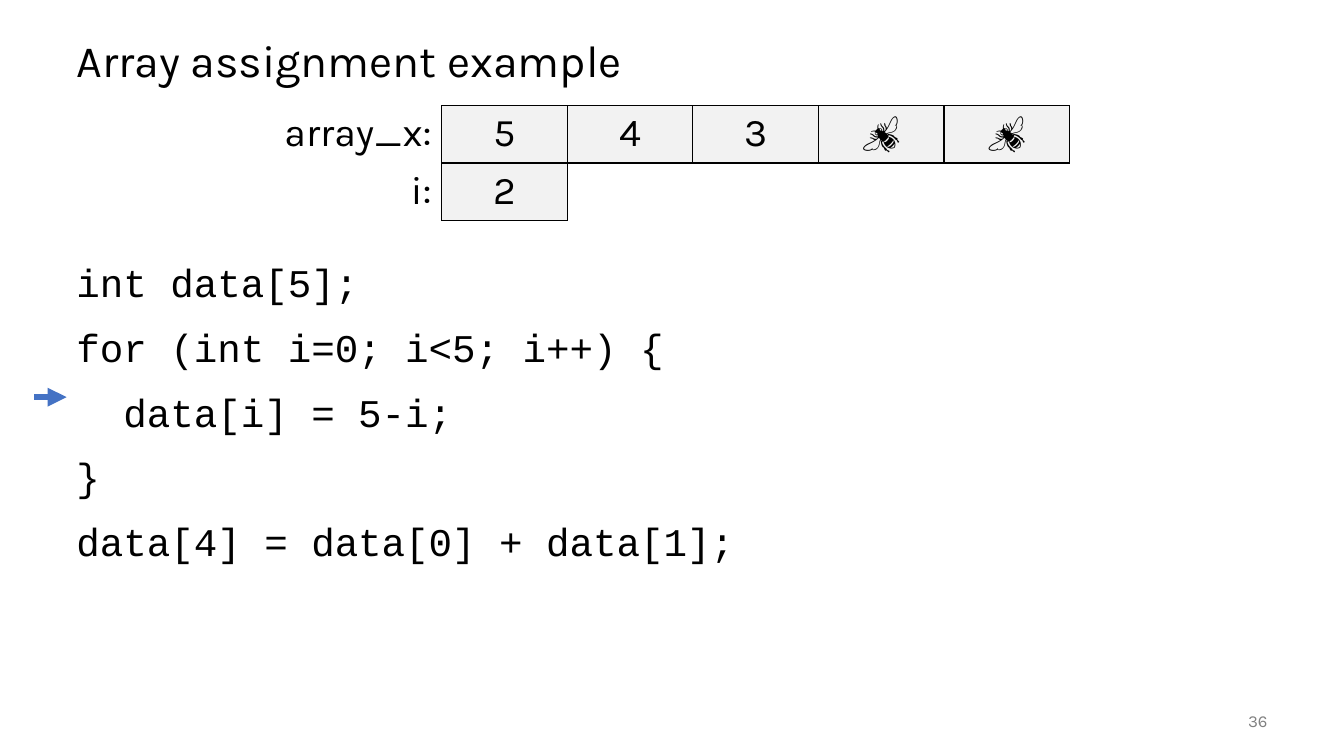
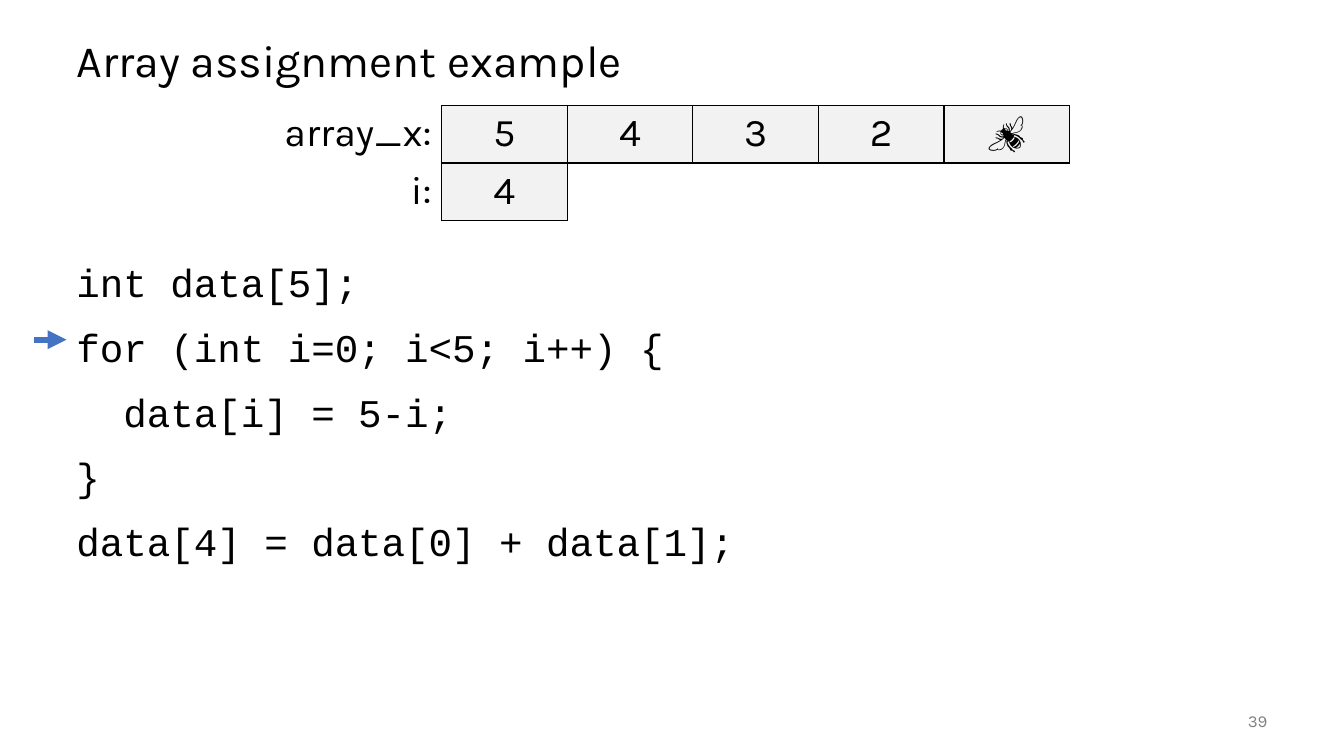
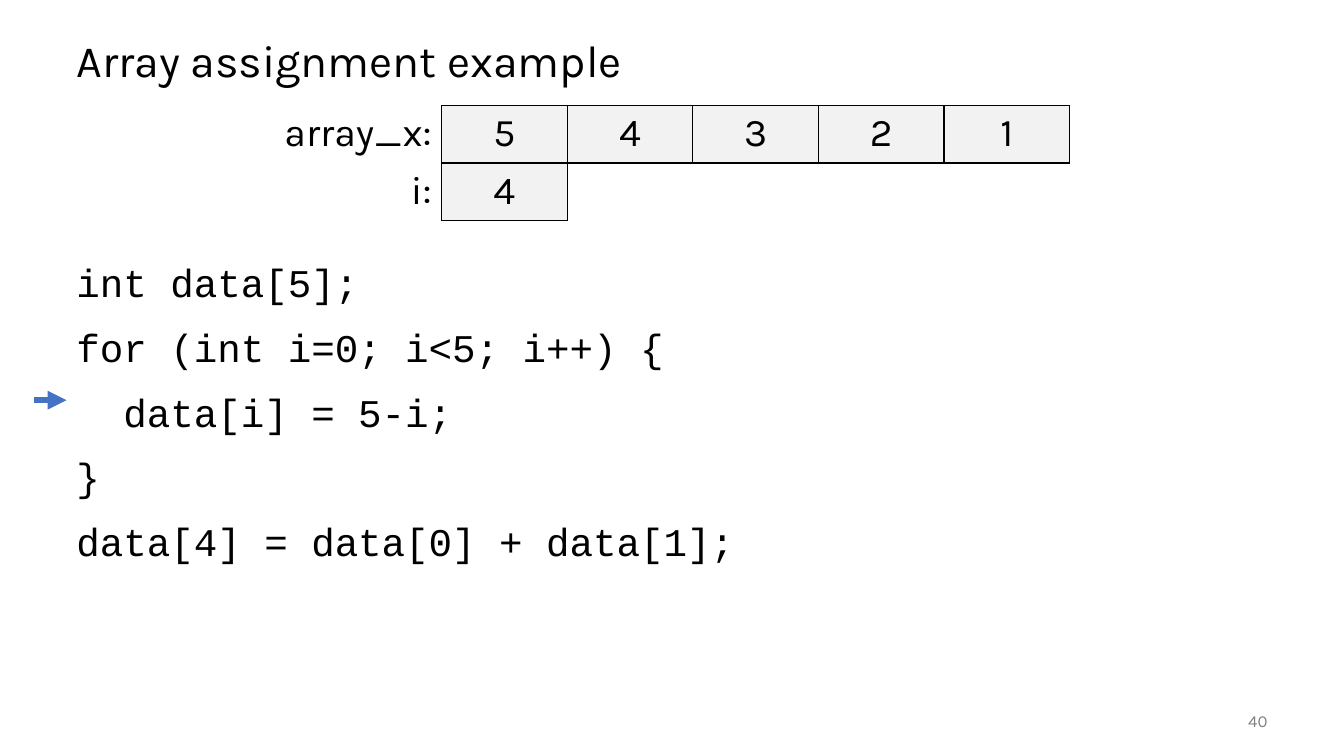
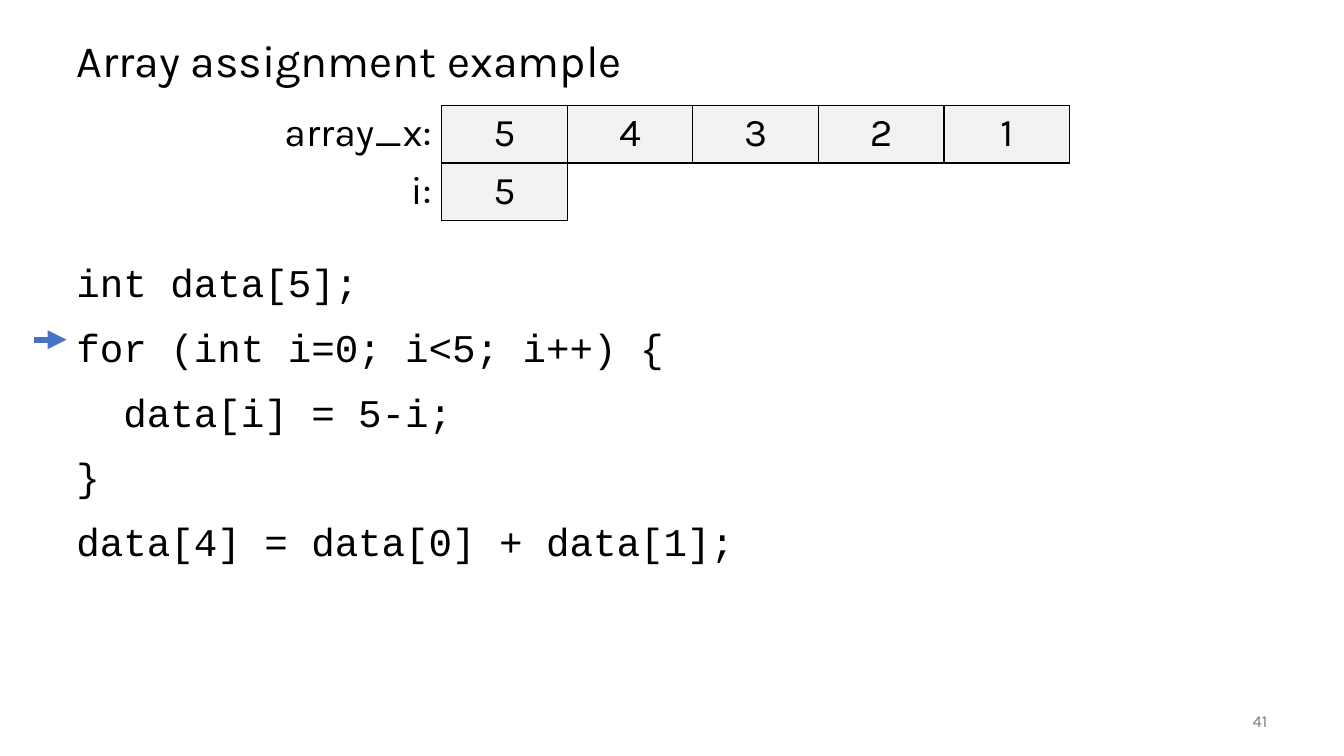
from dataclasses import dataclass

from lxml.etree import SubElement
from pptx import Presentation
from pptx.dml.color import RGBColor
from pptx.enum.shapes import MSO_CONNECTOR
from pptx.enum.text import MSO_ANCHOR, PP_ALIGN
from pptx.oxml.ns import qn
from pptx.slide import Slide
from pptx.table import _Cell
from pptx.text.text import TextFrame
from pptx.util import Inches, Length, Pt


@dataclass(frozen=True)
class Theme:
    text_font: str = "Karla"
    code_font: str = "Courier New"
    ink: RGBColor = RGBColor(0x00, 0x00, 0x00)
    muted: RGBColor = RGBColor(0x80, 0x80, 0x80)
    cell_fill: RGBColor = RGBColor(0xF2, 0xF2, 0xF2)
    accent: RGBColor = RGBColor(0x44, 0x72, 0xC4)
    title_size: Length = Pt(32)
    body_size: Length = Pt(28)
    number_size: Length = Pt(12)
    line_spacing: float = 0.9
    code_gap: Length = Pt(15.9)
    border_width: Length = Pt(1)
    arrow_width: Length = Pt(4.5)


@dataclass(frozen=True)
class Step:
    number: int
    values: tuple[str, ...]
    index: str
    arrow_top: float


THEME = Theme()
TITLE = "Array assignment example"
CODE = """int data[5];
for (int i=0; i<5; i++) {
  data[i] = 5-i;
}
data[4] = data[0] + data[1];"""
BEE = "🐝"
STEPS = (
    Step(36, ("5", "4", "3", BEE, BEE), "2", 3.94),
    Step(39, ("5", "4", "3", "2", BEE), "4", 3.37),
    Step(40, ("5", "4", "3", "2", "1"), "4", 3.97),
    Step(41, ("5", "4", "3", "2", "1"), "5", 3.37),
)
PLAIN_TABLE_STYLE = "{2D5ABB26-0587-4C30-8999-92F81FD0307C}"


def format_text(frame: TextFrame, size: Length, font: str = THEME.text_font,
                color: RGBColor = THEME.ink,
                align: PP_ALIGN = PP_ALIGN.LEFT) -> None:
    for para in frame.paragraphs:
        para.alignment = align
        for span in para.runs:
            span.font.name = font
            span.font.size = size
            span.font.color.rgb = color


def add_text(page: Slide, left: float, top: float, width: float, height: float,
             text: str, anchor: MSO_ANCHOR = MSO_ANCHOR.MIDDLE) -> TextFrame:
    box = page.shapes.add_textbox(Inches(left), Inches(top), Inches(width), Inches(height))
    frame = box.text_frame
    frame.word_wrap = True
    frame.vertical_anchor = anchor
    frame.text = text
    return frame


def add_title(page: Slide) -> None:
    frame = add_text(page, 0.66, 0.25, 12, 0.75, TITLE)
    frame.paragraphs[0].line_spacing = THEME.line_spacing
    format_text(frame, THEME.title_size)


def add_code(page: Slide) -> None:
    frame = add_text(page, 0.66, 2.57, 12, 4.18, CODE, MSO_ANCHOR.TOP)
    for position, para in enumerate(frame.paragraphs):
        para.line_spacing = THEME.line_spacing
        para.space_before = THEME.code_gap if position else Pt(0)
    format_text(frame, THEME.body_size, THEME.code_font)


def add_page_number(page: Slide, number: int) -> None:
    frame = add_text(page, 11.67, 6.95, 1, 0.4, str(number))
    format_text(frame, THEME.number_size, color=THEME.muted, align=PP_ALIGN.RIGHT)


def set_border(cell: _Cell, side: str, visible: bool) -> None:
    properties = cell._tc.get_or_add_tcPr()
    border = SubElement(properties, qn(f"a:ln{side}"), w=str(THEME.border_width))
    if visible:
        fill = SubElement(border, qn("a:solidFill"))
        SubElement(fill, qn("a:srgbClr"), val=str(THEME.ink))
    else:
        SubElement(border, qn("a:noFill"))


def add_memory_table(page: Slide, step: Step) -> None:
    """Draw one row per variable, boxing only the cells that hold a value."""
    rows = (("array_x:", *step.values), ("i:", step.index))
    columns = len(rows[0])
    label_width, values_width = Inches(1.66), Inches(6.23)
    frame = page.shapes.add_table(len(rows), columns, Inches(2.72), Inches(1.05),
                                  label_width + values_width, Inches(1.1))
    table = frame.table
    table.first_row = table.horz_banding = False
    table._tbl.tblPr.find(qn("a:tableStyleId")).text = PLAIN_TABLE_STYLE
    for column, table_column in enumerate(table.columns):
        table_column.width = values_width // (columns - 1) if column else label_width

    def is_boxed(row: int, column: int) -> bool:
        return 0 <= row < len(rows) and 0 < column < len(rows[row])

    neighbours = {"L": (0, -1), "R": (0, 1), "T": (-1, 0), "B": (1, 0)}
    for row, texts in enumerate(rows):
        table.rows[row].height = Inches(0.55)
        for column in range(columns):
            cell = table.cell(row, column)
            boxed = is_boxed(row, column)
            for side, (down, right) in neighbours.items():
                set_border(cell, side, boxed or is_boxed(row + down, column + right))
            if boxed:
                cell.fill.solid()
                cell.fill.fore_color.rgb = THEME.cell_fill
            else:
                cell.fill.background()
            if column < len(texts):
                cell.text_frame.text = texts[column]
                align = PP_ALIGN.CENTER if boxed else PP_ALIGN.RIGHT
                format_text(cell.text_frame, THEME.body_size, align=align)


def add_step_arrow(page: Slide, top: float) -> None:
    arrow = page.shapes.add_connector(MSO_CONNECTOR.STRAIGHT, Inches(0.34), Inches(top),
                                      Inches(0.66), Inches(top))
    arrow.line.color.rgb = THEME.accent
    arrow.line.width = THEME.arrow_width
    SubElement(arrow.line._get_or_add_ln(), qn("a:tailEnd"), type="triangle")
    SubElement(arrow._element.spPr, qn("a:effectLst"))


def main() -> None:
    deck = Presentation()
    deck.slide_width, deck.slide_height = Inches(13.33), Inches(7.5)
    blank = deck.slide_layouts[6]
    for step in STEPS:
        page = deck.slides.add_slide(blank)
        add_title(page)
        add_code(page)
        add_page_number(page, step.number)
        add_memory_table(page, step)
        add_step_arrow(page, step.arrow_top)
    deck.save("out.pptx")


if __name__ == "__main__":
    main()
